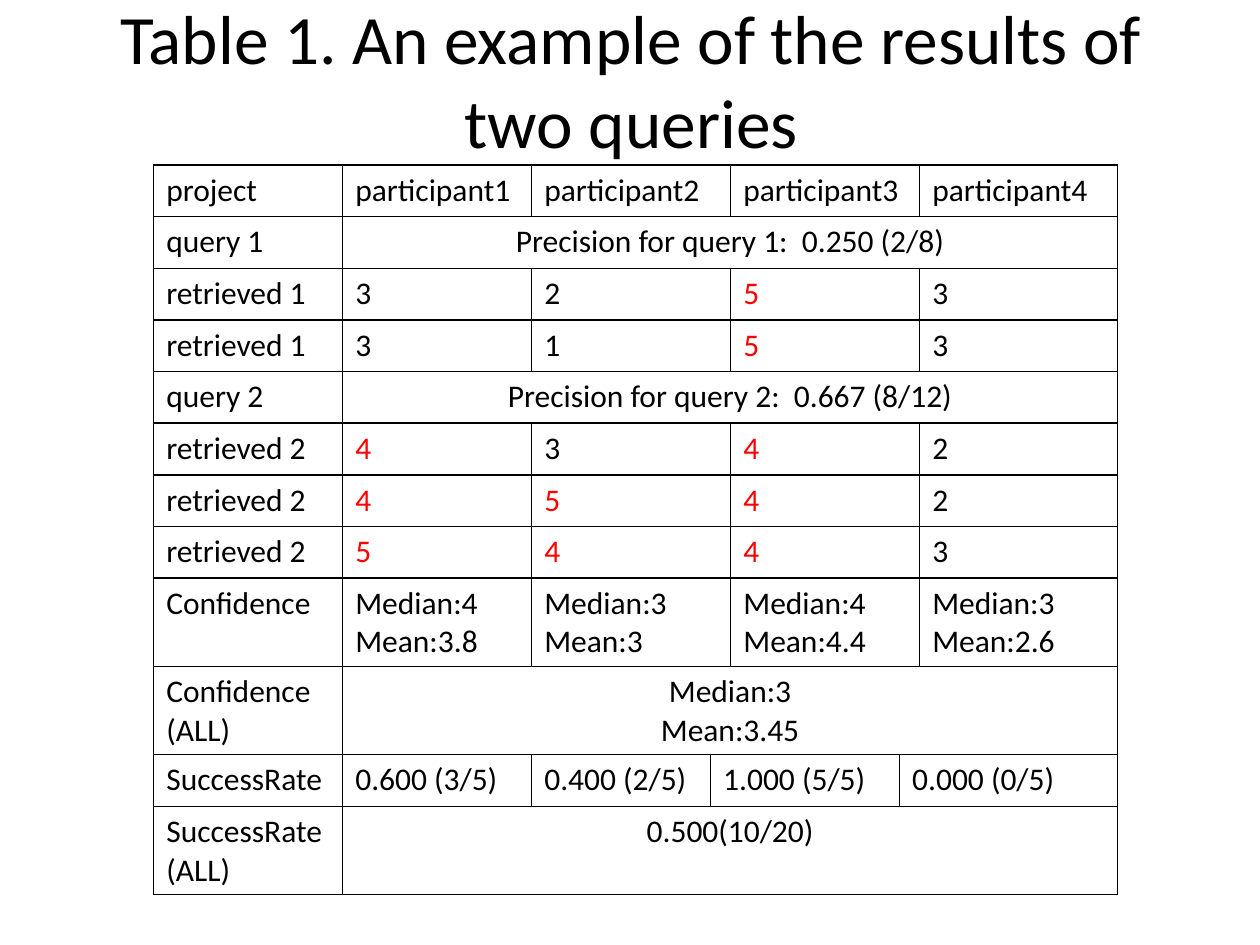
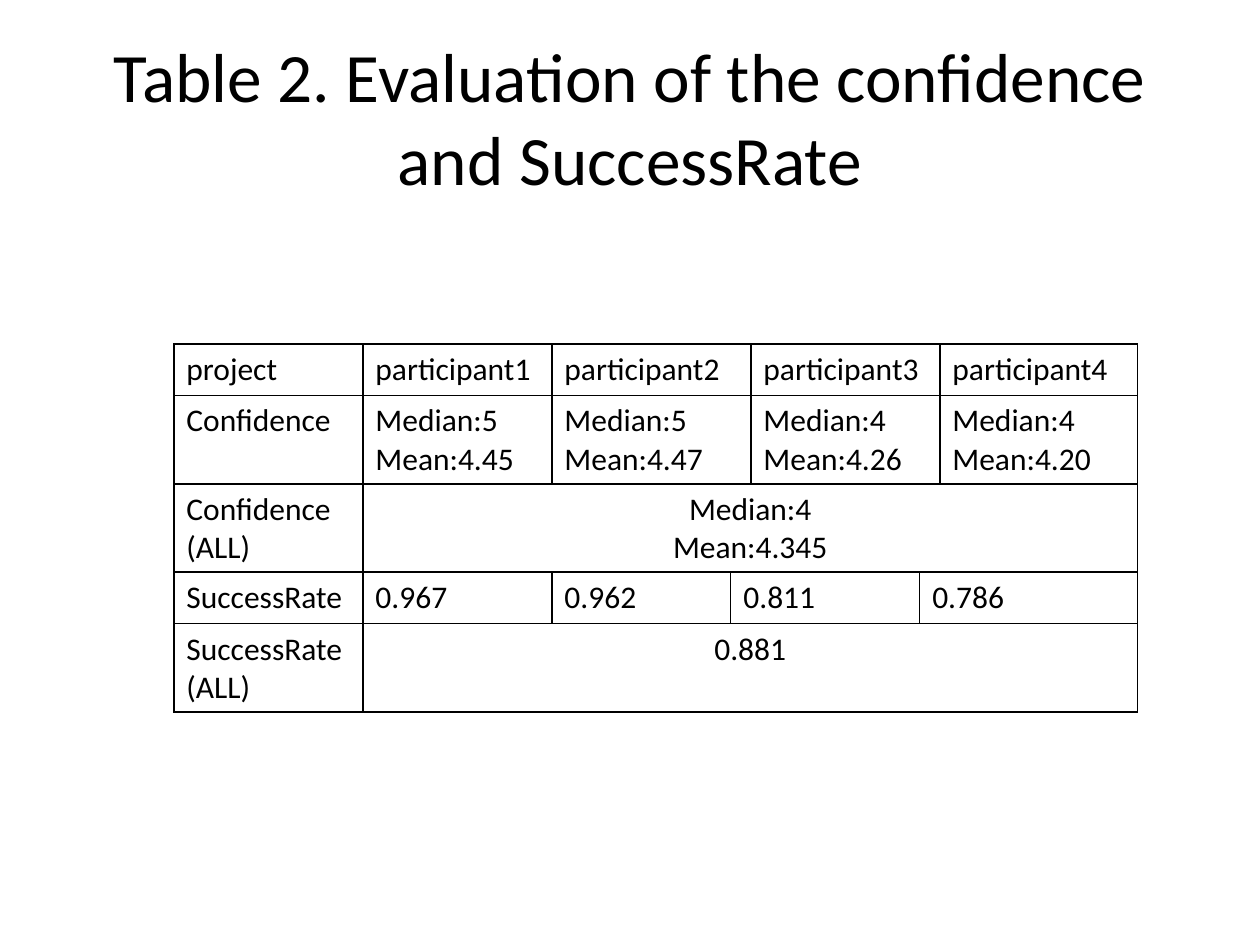
from lxml import etree
from pptx import Presentation
from pptx.dml.color import RGBColor
from pptx.enum.text import MSO_ANCHOR, PP_ALIGN
from pptx.oxml.ns import qn
from pptx.util import Inches, Pt

CENTER, LEFT = PP_ALIGN.CENTER, PP_ALIGN.LEFT
MIDDLE = MSO_ANCHOR.MIDDLE

BLACK = RGBColor(0x00, 0x00, 0x00)
RED = RGBColor(0xFF, 0x00, 0x00)
WHITE = RGBColor(0xFF, 0xFF, 0xFF)
FONT = "Calibri"
TITLE_SIZE, BODY_SIZE, BORDER = Pt(39.6), Pt(18), Pt(1)

SLIDE_W, SLIDE_H = Inches(10), Inches(7.5)
TITLE_W, TITLE_H = 0.9 * SLIDE_W, SLIDE_H / 6
# The narrow columns let the success rates sit off the participant columns.
COLUMNS = [1.5, 1.5, 1.42, 0.16, 1.34, 0.16, 1.57]
ROW_H = 0.41

# Grid columns in which the cells of each kind of row begin.
PARTICIPANTS = (0, 1, 2, 4, 6)
RATES = (0, 1, 2, 3, 5)
SUMMARY = (0, 1)
SUCCESS_SCORE = 4

HEADER = (PARTICIPANTS, ["project"] + [f"participant{n}" for n in range(1, 5)])

QUERY_RESULTS = [
    HEADER,
    (SUMMARY, ["query 1", "Precision for query 1:  0.250 (2/8)"]),
    (PARTICIPANTS, ["retrieved 1", 3, 2, 5, 3]),
    (PARTICIPANTS, ["retrieved 1", 3, 1, 5, 3]),
    (SUMMARY, ["query 2", "Precision for query 2:  0.667 (8/12)"]),
    (PARTICIPANTS, ["retrieved 2", 4, 3, 4, 2]),
    (PARTICIPANTS, ["retrieved 2", 4, 5, 4, 2]),
    (PARTICIPANTS, ["retrieved 2", 5, 4, 4, 3]),
    (PARTICIPANTS, ["Confidence", "Median:4\nMean:3.8", "Median:3\nMean:3",
                    "Median:4\nMean:4.4", "Median:3\nMean:2.6"]),
    (SUMMARY, ["Confidence\n(ALL)", "Median:3\nMean:3.45"]),
    (RATES, ["SuccessRate", "0.600 (3/5)", "0.400 (2/5)", "1.000 (5/5)",
             "0.000 (0/5)"]),
    (SUMMARY, ["SuccessRate\n(ALL)", "0.500(10/20)"]),
]

EVALUATION = [
    HEADER,
    (PARTICIPANTS, ["Confidence", "Median:5\nMean:4.45", "Median:5\nMean:4.47",
                    "Median:4\nMean:4.26", "Median:4\nMean:4.20"]),
    (SUMMARY, ["Confidence\n(ALL)", "Median:4\nMean:4.345"]),
    (RATES, ["SuccessRate", "0.967", "0.962", "0.811", "0.786"]),
    (SUMMARY, ["SuccessRate\n(ALL)", "0.881"]),
]


def write_text(frame, text, size, color, align):
    """Fill a text frame, one paragraph per line, in a single style."""
    frame.text = text
    for paragraph in frame.paragraphs:
        paragraph.alignment = align
        for run in paragraph.runs:
            run.font.name = FONT
            run.font.size = size
            run.font.color.rgb = color


def add_title(slide, text, left, top):
    """Add the centred slide title."""
    title = slide.shapes.add_textbox(Inches(left), Inches(top),
                                     int(TITLE_W), int(TITLE_H))
    title.text_frame.word_wrap = True
    title.text_frame.vertical_anchor = MIDDLE
    write_text(title.text_frame, text, TITLE_SIZE, BLACK, CENTER)


def style_cell(cell):
    """Clear the cell's fill and draw a thin black line on all four sides."""
    cell.fill.background()
    properties = cell._tc.get_or_add_tcPr()
    for position, side in enumerate(("a:lnL", "a:lnR", "a:lnT", "a:lnB")):
        line = etree.Element(qn(side), w=str(BORDER))
        fill = etree.SubElement(line, qn("a:solidFill"))
        etree.SubElement(fill, qn("a:srgbClr"), val=str(BLACK))
        properties.insert(position, line)


def fill_row(table, row, starts, values):
    """Merge the row's cells between the given starts and write its values."""
    ends = [start - 1 for start in starts[1:]] + [len(COLUMNS) - 1]
    for start, end, value in zip(starts, ends, values):
        cell = table.cell(row, start)
        if end > start:
            cell.merge(table.cell(row, end))
        success = isinstance(value, int) and value >= SUCCESS_SCORE
        align = CENTER if starts == SUMMARY and start else LEFT
        write_text(cell.text_frame, str(value), BODY_SIZE,
                   RED if success else BLACK, align)


def add_results_table(slide, rows, left, top, height):
    """Add a ruled table; rows with two lines of text grow to fit."""
    frame = slide.shapes.add_table(len(rows), len(COLUMNS), Inches(left),
                                   Inches(top), Inches(sum(COLUMNS)),
                                   Inches(height))
    table = frame.table
    table.first_row = table.horz_banding = False
    for column, width in zip(table.columns, COLUMNS):
        column.width = Inches(width)
    for table_row in table.rows:
        table_row.height = Inches(ROW_H)
    frame.height = Inches(height)
    for cell in table.iter_cells():
        style_cell(cell)
    for row, (starts, values) in enumerate(rows):
        fill_row(table, row, starts, values)


def add_blank_slide(deck):
    """Add a slide with a plain white background."""
    slide = deck.slides.add_slide(deck.slide_layouts[6])
    slide.background.fill.solid()
    slide.background.fill.fore_color.rgb = WHITE
    return slide


def main():
    """Build both table slides and save the deck."""
    deck = Presentation()
    deck.slide_width, deck.slide_height = SLIDE_W, SLIDE_H

    queries = add_blank_slide(deck)
    add_title(queries, "Table 1. An example of the results of two queries",
              0.51, 0)
    add_results_table(queries, QUERY_RESULTS, 1.22, 1.31, 5.75)

    evaluation = add_blank_slide(deck)
    add_title(evaluation,
              "Table 2. Evaluation of the confidence and SuccessRate", 0.5, 0.3)
    add_results_table(evaluation, EVALUATION, 1.38, 2.73, 2.91)

    deck.save("out.pptx")


main()
